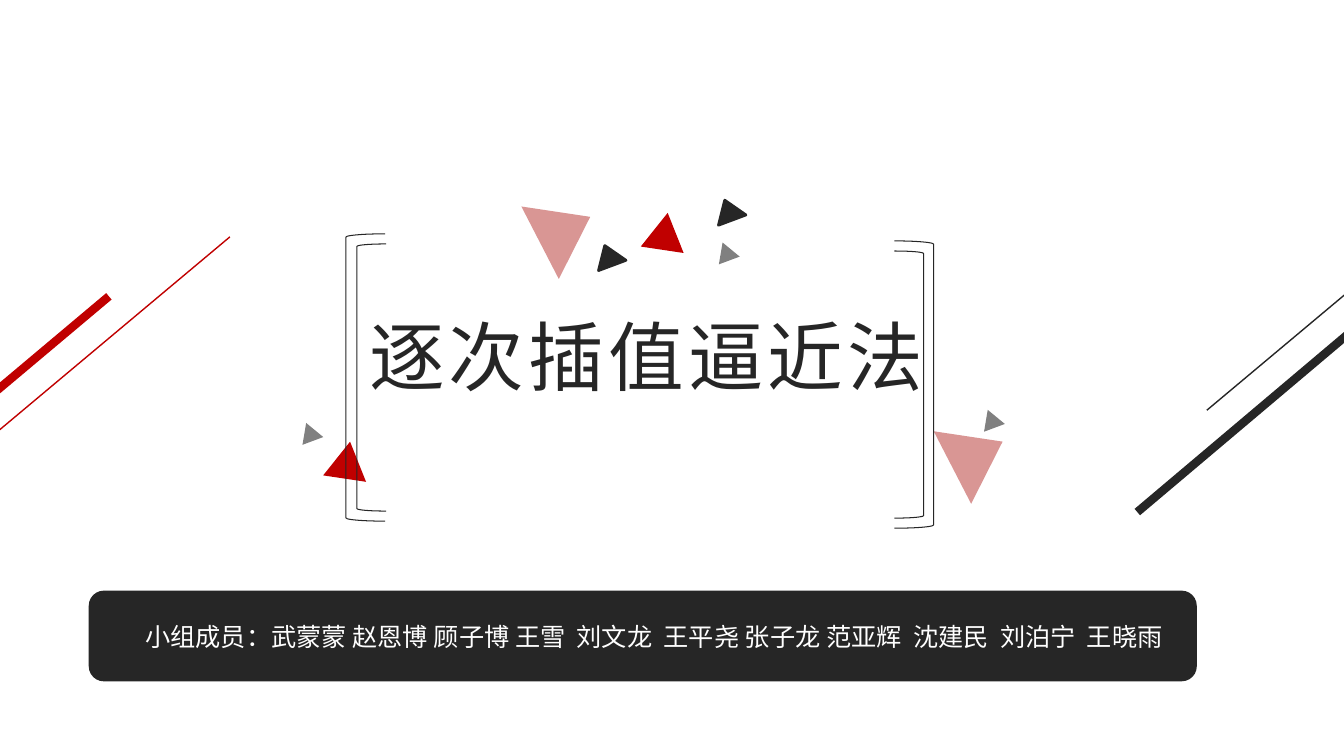
from pptx import Presentation
from pptx.dml.color import RGBColor
from pptx.enum import shapes as sh, text as tx
from pptx.oxml import parse_xml
from pptx.oxml.ns import nsdecls
from pptx.util import Inches, Pt

TITLE = "逐次插值逼近法"
TEAM = "小组成员：武蒙蒙 赵恩博 顾子博 王雪  刘文龙  王平尧 张子龙 范亚辉  沈建民  刘泊宁  王晓雨"
DARK, RED, PINK, GREY, WHITE = "262626", "C00000", "D99694", "808080", "FFFFFF"
FONT = "Arial"

# kind: width, height, rotation, colour, outline in points
KINDS = {
    "red": (0.43, 0.37, 8.5, RED, 0),
    "grey": (0.22, 0.19, 339.5, GREY, 0),
    "pink": (0.81, 0.56, 62.7, PINK, 0),
    "dark": (0.29, 0.21, 339.5, DARK, 2),
}
# kind, left, top
LOW = [("red", 3.23, 4.38), ("grey", 2.96, 4.19), ("pink", 9.29, 4.23)]
HIGH = [("red", 6.38, 2.11), ("grey", 7.09, 2.4), ("dark", 5.89, 2.43),
        ("pink", 5.2, 2), ("dark", 7.08, 1.98)]
LAST = [("grey", 9.72, 4.06)]

# from, to, colour, points
LEFT = [((1.08, 2.94), (-1.75, 5.32), RED, 6),
        ((2.28, 2.35), (-0.56, 4.73), RED, 1)]
RIGHT = [((14.11, 2.69), (11.28, 5.08), DARK, 6),
         ((14.81, 1.69), (11.97, 4.07), DARK, 1)]

# left, top, width, height, flipped
BRACKETS = [(3.54, 2.42, 0.29, 2.65, False), (3.43, 2.32, 0.39, 2.85, False),
            (8.87, 2.49, 0.29, 2.65, True), (8.87, 2.39, 0.39, 2.85, True)]

prs = Presentation()
prs.slide_width, prs.slide_height = Inches(13.33), Inches(7.5)
slide = prs.slides.add_slide(prs.slide_layouts[6])


def rgb(code):
    return RGBColor.from_string(code)


def add(kind, box, fill=None, line=None, width=0):
    """Add a preset shape; no fill or line unless a colour is given."""
    shape = slide.shapes.add_shape(kind, *map(Inches, box))
    shape.shadow.inherit = False
    if fill:
        shape.fill.solid()
        shape.fill.fore_color.rgb = rgb(fill)
    else:
        shape.fill.background()
    if line:
        shape.line.color.rgb = rgb(line)
        shape.line.width = Pt(width)
    else:
        shape.line.fill.background()
    return shape


def scatter(items):
    """Place triangles of the named kinds."""
    for kind, x, y in items:
        w, h, turn, color, edge = KINDS[kind]
        tri = add(sh.MSO_SHAPE.ISOSCELES_TRIANGLE, (x, y, w, h), color,
                  color if edge else None, edge)
        tri.rotation = turn


def rule(items):
    """Draw slanted lines."""
    for start, end, color, width in items:
        line = slide.shapes.add_connector(
            sh.MSO_CONNECTOR.STRAIGHT, *map(Inches, start + end))
        line.line.color.rgb = rgb(color)
        line.line.width = Pt(width)
        line._element.spPr.append(
            parse_xml(f"<a:effectLst {nsdecls('a')}/>"))


def write(frame, words, size, color):
    para = frame.paragraphs[0]
    para.text = words
    para.alignment = tx.PP_ALIGN.CENTER
    para.font.name, para.font.size = FONT, Pt(size)
    para.font.color.rgb = rgb(color)
    return para


scatter(LOW)
rule(LEFT)

title = slide.shapes.add_textbox(*map(Inches, (3.54, 3.03, 5.74, 1.01)))
title.text_frame.word_wrap = False
para = write(title.text_frame, TITLE, 54, DARK)
para.runs[0].font._element.set("spc", "300")

scatter(HIGH)

bar = add(sh.MSO_SHAPE.ROUNDED_RECTANGLE, (0.88, 5.86, 10.99, 0.9), DARK)
bar.text_frame.word_wrap = True
bar.text_frame.margin_left = Inches(0.32)
bar.text_frame.vertical_anchor = tx.MSO_ANCHOR.MIDDLE
write(bar.text_frame, TEAM, 18, WHITE)

for *box, flip in BRACKETS:
    mark = add(sh.MSO_SHAPE.LEFT_BRACKET, box, line=DARK, width=0.75)
    if flip:
        mark._element.spPr.xfrm.set("flipH", "1")

rule(RIGHT)
scatter(LAST)
prs.save("out.pptx")
